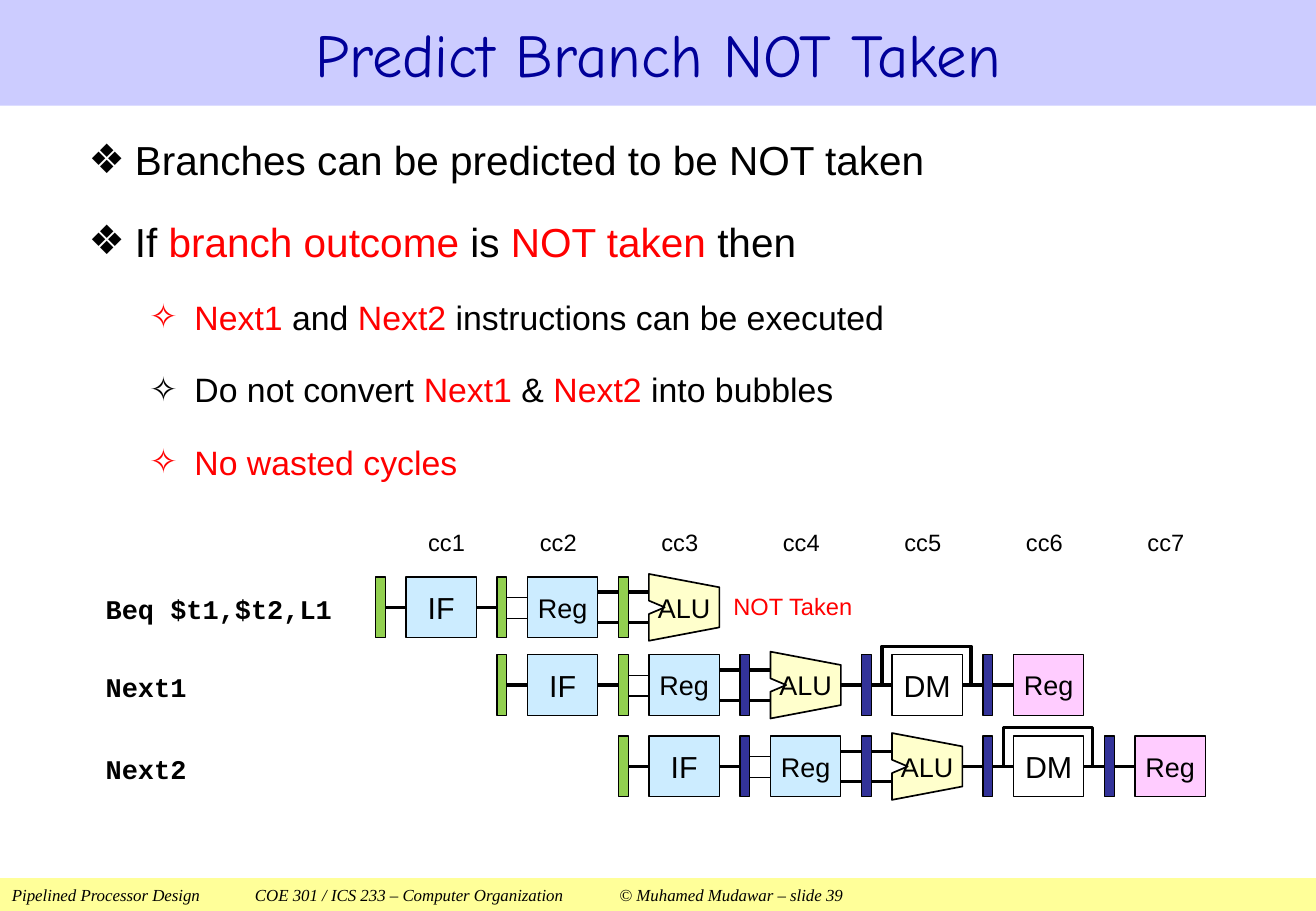
import pptx
import pptx.dml.color
import pptx.enum.shapes
import pptx.enum.text
import pptx.oxml.ns
import pptx.util
from dataclasses import dataclass
from lxml import etree

TITLE = "Predict Branch NOT Taken"
# Asterisks enclose the highlighted words.
BULLETS = [
    (0, "Branches can be predicted to be NOT taken"),
    (0, "If *branch outcome *is *NOT taken *then"),
    (1, "*Next1 *and* Next2* instructions can be executed"),
    (1, "Do not convert *Next1* & *Next2* into bubbles"),
    (1, "*No wasted cycles*"),
]
FOOTER = ("Pipelined Processor Design\tCOE 301 / ICS 233 – Computer Organization"
          "\t© Muhamed Mudawar – slide 39")
CYCLES = ["cc1", "cc2", "cc3", "cc4", "cc5", "cc6", "cc7"]
OUTCOME = "NOT Taken"
PIPELINE = ["fetch", "decode", "execute", "memory", "result"]
# Instruction, first cycle, number of stages, middle of the row
INSTRUCTIONS = [
    ("Beq $t1,$t2,L1", 0, 3, 5.0),
    ("Next1", 1, 5, 5.64),
    ("Next2", 2, 5, 6.31),
]


@dataclass(frozen=True)
class Theme:
    sans: str = "Arial"
    script: str = "Comic Neue"
    code: str = "Courier New"
    serif: str = "Times New Roman"
    ink: str = "000000"
    accent: str = "FF0000"
    title: str = "000099"
    banner: str = "CCCCFF"
    footer: str = "FFFF99"
    stage: str = "CCECFF"
    alu: str = "FFFFCC"
    result: str = "FFCCFF"
    early_latch: str = "92D050"
    late_latch: str = "333399"
    title_size: int = 36
    bullet_sizes: tuple = (24, 20)
    stage_size: int = 18
    label_size: int = 16
    cycle_size: int = 14
    footer_size: int = 10
    thin: float = 0.75
    outline: float = 1
    wire: float = 2


THEME = Theme()
WIDTH, HEIGHT = 10.83, 7.5
BANNER_HEIGHT, FOOTER_HEIGHT = 0.87, 0.27
GRID_LEFT, COLUMN = 3.09, 1.0
LATCH_WIDTH, STAGE_OFFSET = 0.08, 0.25
STAGE_WIDTH, STAGE_HEIGHT = 0.58, 0.5
ALU_HEIGHT = 0.55
PAIR = (-0.125, 0.125)
LABEL_LEFT, CYCLE_TOP = 0.87, 4.3
EARLY_COLUMNS = 3  # latches in these columns belong to the cycles up to the branch

# Stage: text, size, fill, input wire heights, input weight, output wire heights
STAGES = {
    "fetch": ("IF", THEME.stage_size, THEME.stage, (0,), THEME.wire, (0,)),
    "decode": ("Reg", THEME.label_size, THEME.stage, (-0.08, 0.09), THEME.thin, PAIR),
    "execute": ("ALU", THEME.label_size, THEME.alu, PAIR, THEME.wire, (0,)),
    "memory": ("DM", THEME.stage_size, None, (0,), THEME.wire, (0,)),
    "result": ("Reg", THEME.label_size, THEME.result, (0,), THEME.wire, ()),
}

inches = pptx.util.Inches
rgb = pptx.dml.color.RGBColor.from_string
ALIGN = pptx.enum.text.PP_ALIGN
ANCHOR = pptx.enum.text.MSO_ANCHOR


def place(shape, left, top, width, height):
    shape.left, shape.top = inches(left), inches(top)
    shape.width, shape.height = inches(width), inches(height)


def paint(shape, fill, weight):
    shape.shadow.inherit = False
    if fill:
        shape.fill.solid()
        shape.fill.fore_color.rgb = rgb(fill)
    else:
        shape.fill.background()
    if weight:
        shape.line.color.rgb = rgb(THEME.ink)
        shape.line.width = pptx.util.Pt(weight)
    else:
        shape.line.fill.background()


def format_run(run, size, font, colour=THEME.ink, bold=False, italic=False):
    run.font.size, run.font.name = pptx.util.Pt(size), font
    run.font.color.rgb = rgb(colour)
    run.font.bold, run.font.italic = bold, italic


def set_frame(frame, anchor, side=0.0, edge=0.0, wrap=True):
    frame.word_wrap = wrap
    frame.auto_size = pptx.enum.text.MSO_AUTO_SIZE.NONE
    frame.vertical_anchor = anchor
    frame.margin_left = frame.margin_right = inches(side)
    frame.margin_top = frame.margin_bottom = inches(edge)


def set_text(shape, text, size, font=THEME.sans, colour=THEME.ink, align=ALIGN.CENTER,
             side=0.0, wrap=False, **style):
    frame = shape.text_frame
    set_frame(frame, ANCHOR.MIDDLE, side, wrap=wrap)
    frame.text = text
    paragraph = frame.paragraphs[0]
    paragraph.alignment = align
    format_run(paragraph.runs[0], size, font, colour, **style)


def add_label(slide, left, top, width, height, text, size, **style):
    box = slide.shapes.add_textbox(*map(inches, (left, top, width, height)))
    set_text(box, text, size, wrap=True, **style)


def add_box(slide, left, top, width, height, fill, weight=THEME.thin):
    kind = pptx.enum.shapes.MSO_SHAPE.RECTANGLE
    box = slide.shapes.add_shape(kind, *map(inches, (left, top, width, height)))
    paint(box, fill, weight)
    return box


def add_outline(slide, points, fill, weight, close):
    points = [(inches(x), inches(y)) for x, y in points]
    builder = slide.shapes.build_freeform(*points[0])
    builder.add_line_segments(points[1:], close=close)
    shape = builder.convert_to_shape()
    paint(shape, fill, weight)
    return shape


def add_wires(slide, left, right, middle, offsets, weight):
    for offset in offsets:
        y = inches(middle + offset)
        wire = slide.shapes.add_connector(
            pptx.enum.shapes.MSO_CONNECTOR.STRAIGHT, inches(left), y, inches(right), y)
        wire.line.color.rgb = rgb(THEME.ink)
        wire.line.width = pptx.util.Pt(weight)
        etree.SubElement(wire._element.spPr, pptx.oxml.ns.qn("a:effectLst"))


def add_alu(slide, left, middle, fill):
    half, right = ALU_HEIGHT / 2, left + STAGE_WIDTH
    points = [(left, middle + half), (left, middle + 0.055), (left + 0.13, middle),
              (left, middle - 0.055), (left, middle - half),
              (right, middle - 0.165), (right, middle + 0.165)]
    return add_outline(slide, points, fill, THEME.outline, True)


def add_bypass(slide, left, middle):
    """Draw the path that leads around the data memory."""
    start, end, top = left - 0.08, left + STAGE_WIDTH + 0.07, middle - 0.32
    points = [(start, middle), (start, top), (end, top), (end, middle)]
    add_outline(slide, points, None, THEME.wire, False)


def add_stage(slide, name, column, middle, has_output):
    text, size, fill, inputs, input_weight, outputs = STAGES[name]
    latch = GRID_LEFT + column * COLUMN
    left, top = latch + STAGE_OFFSET, middle - STAGE_HEIGHT / 2
    add_wires(slide, latch + LATCH_WIDTH, left, middle, inputs, input_weight)
    if has_output:
        add_wires(slide, left + STAGE_WIDTH, latch + COLUMN, middle, outputs, THEME.wire)
    if name == "execute":
        shape = add_alu(slide, left, middle, fill)
    else:
        shape = add_box(slide, left, top, STAGE_WIDTH, STAGE_HEIGHT, fill)
    set_text(shape, text, size)
    if name == "memory":
        add_bypass(slide, left, middle)
    colour = THEME.early_latch if column < EARLY_COLUMNS else THEME.late_latch
    add_box(slide, latch, top, LATCH_WIDTH, STAGE_HEIGHT, colour)


def add_footer(slide):
    footer = add_box(slide, 0, HEIGHT - FOOTER_HEIGHT, WIDTH, FOOTER_HEIGHT, THEME.footer, 0)
    set_text(footer, FOOTER, THEME.footer_size, THEME.serif, align=ALIGN.LEFT,
             side=0.1, wrap=True, italic=True)
    properties = footer.text_frame.paragraphs[0]._p.get_or_add_pPr()
    tabs = etree.SubElement(properties, pptx.oxml.ns.qn("a:tabLst"))
    for position in (2, 5):
        etree.SubElement(tabs, pptx.oxml.ns.qn("a:tab"), pos=str(inches(position)), algn="l")


def fill_bullets(body):
    place(body, 0.73, 0.98, 9.56, 3.02)
    frame = body.text_frame
    set_frame(frame, ANCHOR.TOP, edge=0.05)
    for index, (level, text) in enumerate(BULLETS):
        paragraph = frame.add_paragraph() if index else frame.paragraphs[0]
        paragraph.level, paragraph.line_spacing = level, 1.2
        paragraph.space_before = pptx.util.Pt(14 if index else 0)
        properties = paragraph._p.get_or_add_pPr()
        properties.set("marL", str(inches((0.38, 0.87)[level])))
        properties.set("indent", str(inches((-0.38, -0.37)[level])))
        etree.SubElement(properties, pptx.oxml.ns.qn("a:buChar"), char="❖✧"[level])
        for part, words in enumerate(text.split("*")):
            if words:
                run = paragraph.add_run()
                run.text = words
                format_run(run, THEME.bullet_sizes[level], THEME.sans,
                           THEME.accent if part % 2 else THEME.ink)


def main():
    presentation = pptx.Presentation()
    presentation.slide_width, presentation.slide_height = inches(WIDTH), inches(HEIGHT)
    slide = presentation.slides.add_slide(presentation.slide_layouts[1])
    title = slide.shapes.title
    place(title, 0, 0, WIDTH, BANNER_HEIGHT)
    paint(title, THEME.banner, 0)
    set_text(title, TITLE, THEME.title_size, THEME.script, THEME.title, wrap=True)
    fill_bullets(slide.placeholders[1])
    add_footer(slide)
    for column, cycle in enumerate(CYCLES):
        nudge = 0 if column else 0.08
        add_label(slide, GRID_LEFT + 0.17 + column * COLUMN + nudge, CYCLE_TOP,
                  0.67, 0.33, cycle, THEME.cycle_size)
    for text, first, count, middle in INSTRUCTIONS:
        add_label(slide, LABEL_LEFT, middle - 0.17, 2.09, 0.37, text, THEME.label_size,
                  font=THEME.code, align=ALIGN.LEFT, bold=True)
        for step, name in enumerate(PIPELINE[:count]):
            add_stage(slide, name, first + step, middle, step < count - 1)
    add_label(slide, 5.97, 4.84, 1.11, 0.3, OUTCOME, THEME.cycle_size, colour=THEME.accent)
    presentation.save("out.pptx")


if __name__ == "__main__":
    main()
